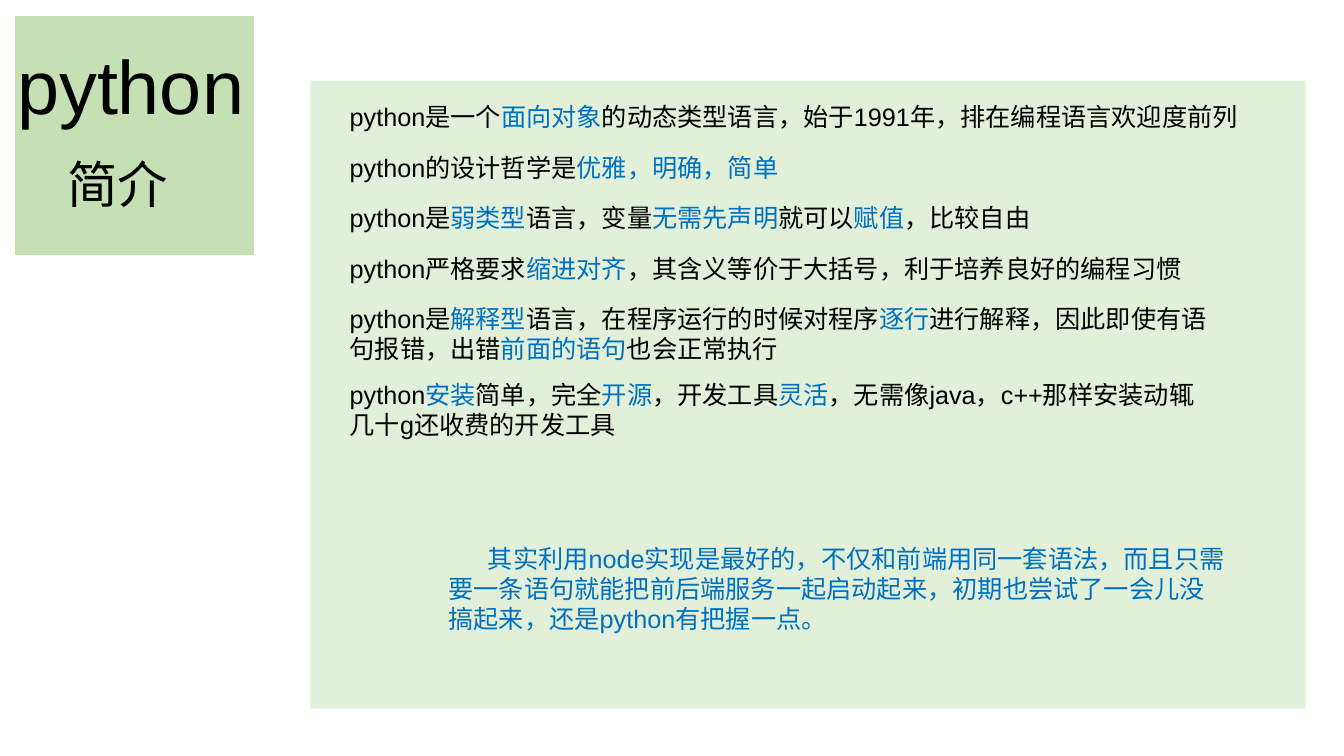
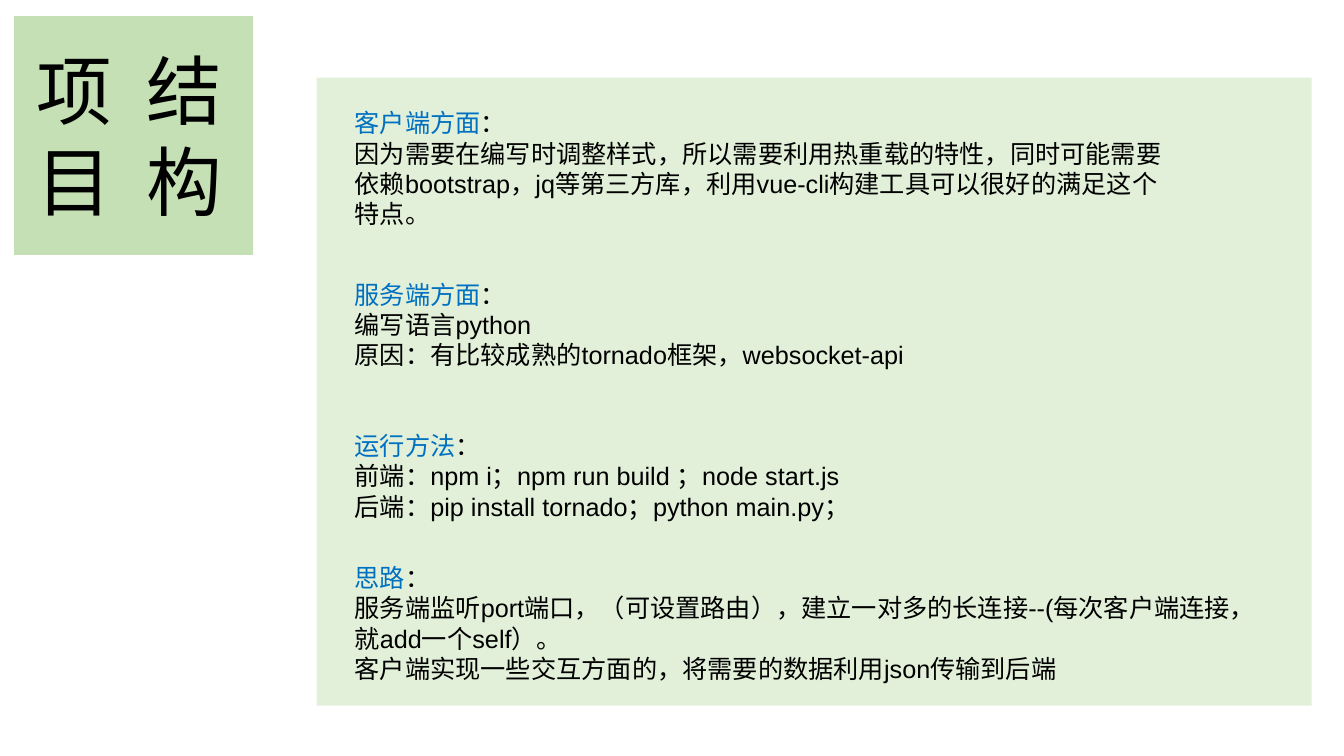
from pptx import Presentation
from pptx.dml.color import RGBColor
from pptx.enum.shapes import MSO_SHAPE as Preset
from pptx.enum.text import MSO_ANCHOR as Anchor, MSO_AUTO_SIZE as AutoSize, PP_ALIGN as Align
from pptx.util import Inches, Pt

FONT = "Arial"
BLACK, BLUE = "000000", "0070C0"
BADGE_GREEN, PANEL_GREEN = "C5E0B4", "E2F0D9"
BODY_SIZE, TITLE_SIZE, SUBTITLE_SIZE = 18, 54, 36
BADGE_SIDE = 2.37
PANEL_SIZE = (9.87, 6.23)
TITLE_ONLY = 5

# Text between bars is shown in blue.
INTRO_LINES = [
    (9.29, 1, "python是一个|面向对象|的动态类型语言，始于1991年，排在编程语言欢迎度前列"),
    (8.74, 1, "python的设计哲学是|优雅，明确，简单|"),
    (8.74, 1, "python是|弱类型|语言，变量|无需先声明|就可以|赋值|，比较自由"),
    (8.74, 1, "python严格要求|缩进对齐|，其含义等价于大括号，利于培养良好的编程习惯"),
    (8.74, 2, "python是|解释型|语言，在程序运行的时候对程序|逐行|进行解释，"
              "因此即使有语句报错，出错|前面的语句|也会正常执行"),
    (8.74, 2, "python|安装|简单，完全|开源|，开发工具|灵活|，"
              "无需像java，c++那样安装动辄几十g还收费的开发工具"),
]
INTRO_LEFT, INTRO_TOP = 3.37, 0.96
ROW_STEP, EXTRA_LINE = 0.5, 0.25

NODE_NOTE = ("|其实利用node实现是最好的，不仅和前端用同一套语法，而且只需要一条语句"
             "就能把前后端服务一起启动起来，初期也尝试了一会儿没搞起来，还是python有把握一点。|")

SECTION_LEFT = 3.42
SECTIONS = [
    (1.02, 8.2, 1.61, [
        "|客户端方面|：",
        "因为需要在编写时调整样式，所以需要利用热重载的特性，同时可能需要依赖bootstrap，"
        "jq等第三方库，利用vue-cli构建工具可以很好的满足这个特点。",
    ]),
    (2.72, 8.2, 1.31, [
        "|服务端方面|：",
        "编写语言python",
        "原因：有比较成熟的tornado框架，websocket-api",
    ]),
    (4.22, 8.2, 1.31, [
        "|运行方法|：",
        "前端：npm i；npm run build ；node start.js",
        "后端：pip install tornado；python main.py；",
    ]),
    (5.53, 8.99, 1.31, [
        "|思路|：",
        "服务端监听port端口，（可设置路由），建立一对多的长连接--(每次客户端连接，就add一个self）。",
        "客户端实现一些交互方面的，将需要的数据利用json传输到后端",
    ]),
]


def color(value):
    return RGBColor.from_string(value)


def write(box, lines, size, indent=0):
    frame = box.text_frame
    frame.word_wrap = True
    frame.auto_size = AutoSize.NONE
    frame.vertical_anchor = Anchor.TOP
    for number, line in enumerate(lines):
        para = frame.add_paragraph() if number else frame.paragraphs[0]
        para.alignment = Align.LEFT
        if indent:
            properties = para._p.get_or_add_pPr()
            properties.set("marL", "0")
            properties.set("indent", str(Inches(indent)))
        for position, piece in enumerate(line.split("|")):
            if piece:
                span = para.add_run()
                span.text = piece
                span.font.name = FONT
                span.font.size = Pt(size)
                span.font.color.rgb = color(BLUE if position % 2 else BLACK)


def add_text(page, area, lines, size=BODY_SIZE, indent=0):
    box = page.shapes.add_textbox(*map(Inches, area))
    write(box, lines, size, indent)


def add_block(page, area, fill):
    block = page.shapes.add_shape(Preset.RECTANGLE, *map(Inches, area))
    block.shadow.inherit = False
    block.fill.solid()
    block.fill.fore_color.rgb = color(fill)
    block.line.fill.background()
    return block


def add_page(deck, title_text, title_area, badge_at, panel_at):
    page = deck.slides.add_slide(deck.slide_layouts[TITLE_ONLY])
    title = page.shapes.title
    title.left, title.top, title.width, title.height = map(Inches, title_area)
    write(title, [title_text], TITLE_SIZE)
    badge = add_block(page, (*badge_at, BADGE_SIDE, BADGE_SIDE), BADGE_GREEN)
    title.element.addprevious(badge.element)
    add_block(page, (*panel_at, *PANEL_SIZE), PANEL_GREEN)
    return page


def build_intro(deck):
    page = add_page(deck, "python", (0.07, 0.34, 2.55, 1.01), (0.15, 0.16), (3.08, 0.8))
    add_text(page, (0.57, 1.47, 1.23, 0.71), ["简介"], SUBTITLE_SIZE)
    top = INTRO_TOP
    for width, line_count, line in INTRO_LINES:
        extra = (line_count - 1) * EXTRA_LINE
        add_text(page, (INTRO_LEFT, top, width, 0.4 + extra), [line])
        top += ROW_STEP + extra
    add_text(page, (4.35, 5.34, 7.94, 1.01), [NODE_NOTE], indent=0.39)


def build_structure(deck):
    page = add_page(deck, "项目", (0.26, 0.39, 1.1, 1.92), (0.14, 0.16), (3.14, 0.77))
    add_text(page, (1.36, 0.39, 1.1, 1.92), ["结构"], TITLE_SIZE)
    for top, width, height, lines in SECTIONS:
        add_text(page, (SECTION_LEFT, top, width, height), lines)


def main():
    deck = Presentation()
    deck.slide_width, deck.slide_height = Inches(13.33), Inches(7.5)
    build_intro(deck)
    build_structure(deck)
    deck.save("out.pptx")


if __name__ == "__main__":
    main()
